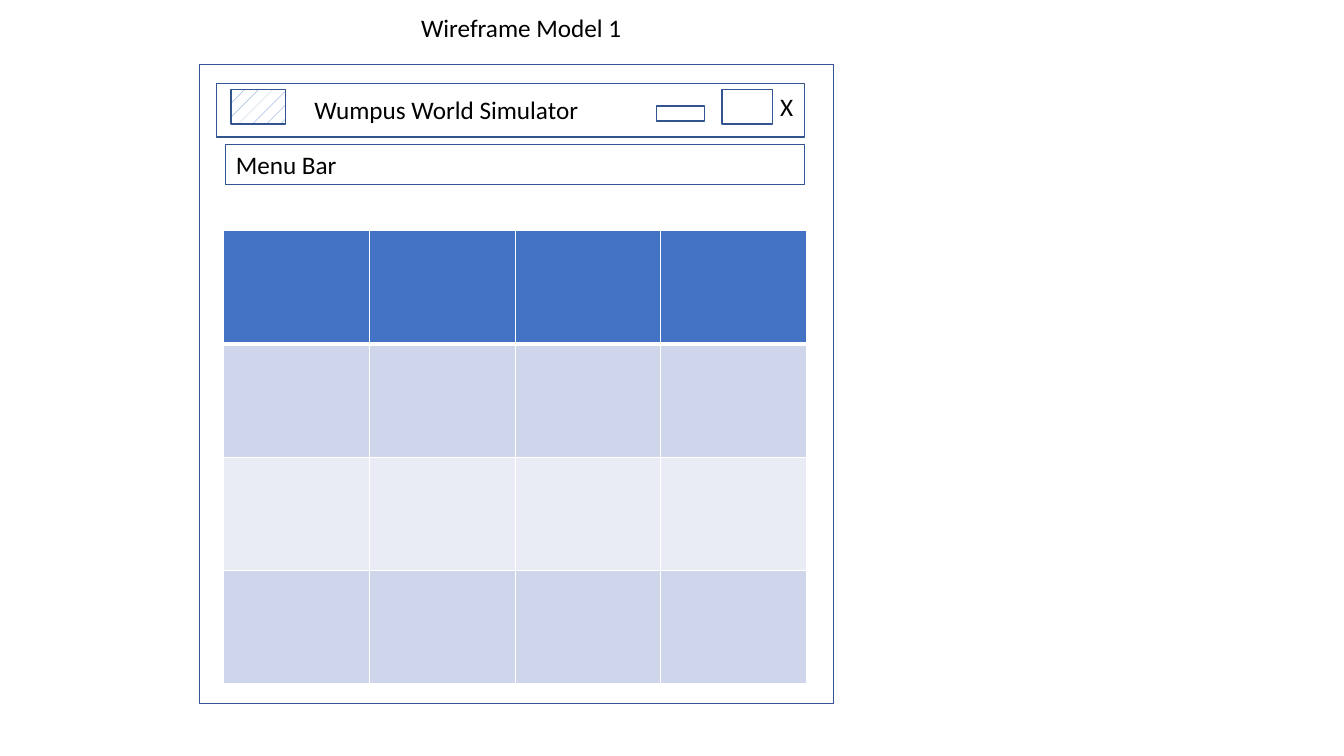
from dataclasses import dataclass

from lxml import etree
from pptx import Presentation
from pptx.dml.color import RGBColor
from pptx.enum.dml import MSO_PATTERN
from pptx.enum.shapes import MSO_SHAPE
from pptx.enum.text import MSO_ANCHOR, PP_ALIGN
from pptx.oxml.ns import qn
from pptx.shapes.autoshape import Shape
from pptx.slide import Slide
from pptx.table import _Cell
from pptx.util import Emu, Pt

EMU_PER_PX = 9144
FONT_NAME = "Calibri"
FONT_SIZE = Pt(18)

BLACK = RGBColor(0x00, 0x00, 0x00)
WHITE = RGBColor(0xFF, 0xFF, 0xFF)
OUTLINE_BLUE = RGBColor(0x32, 0x54, 0x91)
ACCENT_BLUE = RGBColor(0x44, 0x72, 0xC4)
BAND_DARK = RGBColor(0xCF, 0xD5, 0xEA)
BAND_LIGHT = RGBColor(0xE9, 0xEB, 0xF5)

RECTANGLE = MSO_SHAPE.RECTANGLE
DOTTED = MSO_PATTERN.PERCENT_5
LEFT = PP_ALIGN.LEFT
CENTER = PP_ALIGN.CENTER
TOP = MSO_ANCHOR.TOP


@dataclass(frozen=True)
class Box:
    left: int
    top: int
    width: int
    height: int

    def emu(self) -> tuple[Emu, Emu, Emu, Emu]:
        return px(self.left), px(self.top), px(self.width), px(self.height)


@dataclass(frozen=True)
class Frame:
    box: Box
    line_points: float = 1
    patterned: bool = False
    text: str = ""


@dataclass(frozen=True)
class Label:
    box: Box
    text: str
    alignment: PP_ALIGN = LEFT


WINDOW = Frame(Box(198, 64, 629, 634))
TITLE_BAR = Frame(Box(215, 83, 583, 53))
CLOSE_BUTTON = Label(Box(764, 86, 36, 40), "X")
MAXIMIZE_BUTTON = Frame(Box(716, 89, 50, 34))
MINIMIZE_BUTTON = Frame(Box(651, 105, 48, 15))
WINDOW_ICON = Frame(Box(229, 89, 54, 34), patterned=True)
WINDOW_TITLE = Label(Box(302, 89, 325, 40), "Wumpus World Simulator")
MENU_BAR = Frame(Box(224, 143, 574, 40), line_points=0.75, text="Menu Bar")
HEADING = Label(Box(204, 7, 626, 40), "Wireframe Model 1", CENTER)

BOARD = Box(222, 229, 578, 449)
ROW_COLORS = (ACCENT_BLUE, BAND_DARK, BAND_LIGHT, BAND_DARK)
COLUMN_COUNT = 4


def px(length: int) -> Emu:
    return Emu(length * EMU_PER_PX)


def write_text(shape: Shape, text: str, alignment: PP_ALIGN) -> None:
    text_frame = shape.text_frame
    text_frame.word_wrap = True
    text_frame.vertical_anchor = TOP
    paragraph = text_frame.paragraphs[0]
    paragraph.alignment = alignment
    run = paragraph.add_run()
    run.text = text
    run.font.name = FONT_NAME
    run.font.size = FONT_SIZE
    run.font.color.rgb = BLACK


def draw_frame(slide: Slide, frame: Frame) -> None:
    shape = slide.shapes.add_shape(RECTANGLE, *frame.box.emu())
    shape.shadow.inherit = False
    shape.line.color.rgb = OUTLINE_BLUE
    shape.line.width = Pt(frame.line_points)
    if frame.patterned:
        shape.fill.patterned()
        shape.fill.pattern = DOTTED
        shape.fill.fore_color.rgb = ACCENT_BLUE
        shape.fill.back_color.rgb = WHITE
    else:
        shape.fill.background()
    if frame.text:
        write_text(shape, frame.text, LEFT)


def draw_label(slide: Slide, label: Label) -> None:
    shape = slide.shapes.add_textbox(*label.box.emu())
    write_text(shape, label.text, label.alignment)


def set_border(cell: _Cell, side: str, points: int) -> None:
    properties = cell._tc.get_or_add_tcPr()
    line = etree.SubElement(properties, qn(f"a:ln{side}"), w=str(Pt(points)))
    fill = etree.SubElement(line, qn("a:solidFill"))
    etree.SubElement(fill, qn("a:srgbClr"), val=str(WHITE))


def draw_board(slide: Slide) -> None:
    graphic_frame = slide.shapes.add_table(len(ROW_COLORS), COLUMN_COUNT, *BOARD.emu())
    for row_index, (row, color) in enumerate(zip(graphic_frame.table.rows, ROW_COLORS)):
        top_points = 3 if row_index == 1 else 1
        bottom_points = 3 if row_index == 0 else 1
        borders = {"L": 1, "R": 1, "T": top_points, "B": bottom_points}
        for cell in row.cells:
            for side, points in borders.items():
                set_border(cell, side, points)
            cell.fill.solid()
            cell.fill.fore_color.rgb = color


def main() -> None:
    presentation = Presentation()
    presentation.slide_width = px(1333)
    presentation.slide_height = px(750)
    slide = presentation.slides.add_slide(presentation.slide_layouts[6])
    draw_frame(slide, WINDOW)
    draw_frame(slide, TITLE_BAR)
    draw_label(slide, CLOSE_BUTTON)
    for frame in (MAXIMIZE_BUTTON, MINIMIZE_BUTTON, WINDOW_ICON):
        draw_frame(slide, frame)
    draw_label(slide, WINDOW_TITLE)
    draw_board(slide)
    draw_frame(slide, MENU_BAR)
    draw_label(slide, HEADING)
    presentation.save("out.pptx")


if __name__ == "__main__":
    main()
